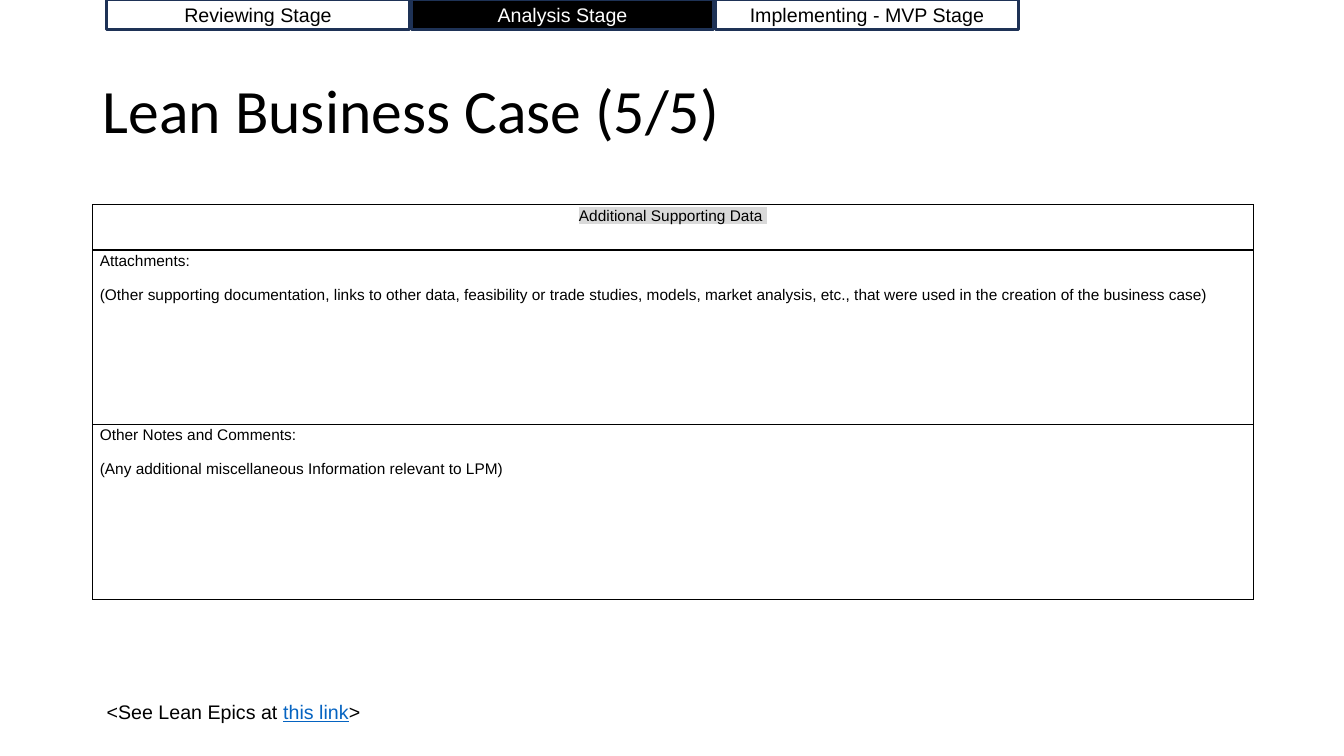
import dataclasses

import lxml.etree
import pptx
import pptx.dml.color
import pptx.enum.shapes
import pptx.enum.text
import pptx.oxml.ns
import pptx.util

Inches = pptx.util.Inches
Pt = pptx.util.Pt
ALIGN = pptx.enum.text.PP_ALIGN
ANCHOR = pptx.enum.text.MSO_ANCHOR
AUTO_SIZE = pptx.enum.text.MSO_AUTO_SIZE


@dataclasses.dataclass(frozen=True)
class Theme:
    title_font: str = "Calibri"
    body_font: str = "Arial"
    title_size: int = 44
    label_size: int = 14
    table_size: int = 11
    black: str = "000000"
    white: str = "FFFFFF"
    navy: str = "1E3256"
    link: str = "0563C1"
    highlight: str = "D9D9D9"


def rgb(value):
    return pptx.dml.color.RGBColor.from_string(value)


def add_element(parent, tag, **attributes):
    return lxml.etree.SubElement(parent, pptx.oxml.ns.qn(tag), attributes)


def set_margins(frame, side, top):
    frame.margin_left = frame.margin_right = Inches(side)
    frame.margin_top = frame.margin_bottom = Inches(top)


class PageBuilder:
    def __init__(self, page, theme):
        self.page = page
        self.theme = theme

    def style(self, span, size, color, name=None):
        span.font.name = name or self.theme.body_font
        span.font.size = Pt(size)
        span.font.bold = False
        span.font.color.rgb = rgb(color)

    def highlight(self, span):
        """Put a highlight right after the run's fill, where the schema wants it."""
        fill = span.font._element.find(pptx.oxml.ns.qn("a:solidFill"))
        mark = lxml.etree.Element(pptx.oxml.ns.qn("a:highlight"))
        add_element(mark, "a:srgbClr", val=self.theme.highlight)
        fill.addnext(mark)

    def title(self, text, left, top, width, height):
        box = self.page.shapes.title
        box.left, box.top = Inches(left), Inches(top)
        box.width, box.height = Inches(width), Inches(height)
        frame = box.text_frame
        frame.text = text
        frame.auto_size = AUTO_SIZE.NONE
        frame.vertical_anchor = ANCHOR.MIDDLE
        set_margins(frame, 0.1, 0.05)
        para = frame.paragraphs[0]
        para.alignment = ALIGN.LEFT
        para.line_spacing = 0.9
        self.style(para.runs[0], self.theme.title_size, self.theme.black, self.theme.title_font)

    def stage(self, text, left, top, width, height, active):
        theme = self.theme
        box = self.page.shapes.add_shape(
            pptx.enum.shapes.MSO_SHAPE.RECTANGLE,
            Inches(left), Inches(top), Inches(width), Inches(height))
        box.shadow.inherit = False
        box.fill.solid()
        box.fill.fore_color.rgb = rgb(theme.black if active else theme.white)
        box.line.color.rgb = rgb(theme.navy)
        box.line.width = Pt(2)
        frame = box.text_frame
        frame.text = text
        frame.vertical_anchor = ANCHOR.MIDDLE
        para = frame.paragraphs[0]
        para.alignment = ALIGN.CENTER
        self.style(para.runs[0], theme.label_size, theme.white if active else theme.black)

    def cell_borders(self, cell):
        properties = cell._tc.get_or_add_tcPr()
        for side in ("a:lnL", "a:lnR", "a:lnT", "a:lnB"):
            line = add_element(properties, side, w=str(Pt(1)))
            fill = add_element(line, "a:solidFill")
            add_element(fill, "a:srgbClr", val=self.theme.black)

    def table(self, header, sections, left, top, width, heights):
        """One column: a highlighted header row, then a row per section."""
        rows = [[header], *sections]
        table = self.page.shapes.add_table(
            len(rows), 1, Inches(left), Inches(top), Inches(width), Inches(sum(heights))).table
        table.first_row = table.horz_banding = False
        for index, (lines, height) in enumerate(zip(rows, heights)):
            table.rows[index].height = Inches(height)
            cell = table.cell(index, 0)
            self.cell_borders(cell)
            cell.fill.background()
            set_margins(cell, 0.07, 0)
            cell.text_frame.text = "\n".join(lines)
            for para in cell.text_frame.paragraphs:
                para.line_spacing = 1.15
                self.style(para.runs[0], self.theme.table_size, self.theme.black)
                if index == 0:
                    para.alignment = ALIGN.CENTER
                    self.highlight(para.runs[0])
                else:
                    para.space_after = Pt(10)

    def link_note(self, before, link, after, left, top, width, height):
        box = self.page.shapes.add_textbox(
            Inches(left), Inches(top), Inches(width), Inches(height))
        frame = box.text_frame
        frame.word_wrap = True
        frame.auto_size = AUTO_SIZE.SHAPE_TO_FIT_TEXT
        for text in (before, link, after):
            span = frame.paragraphs[0].add_run()
            span.text = text
            is_link = text == link
            self.style(span, self.theme.label_size,
                       self.theme.link if is_link else self.theme.black)
            span.font.underline = is_link


def main():
    deck = pptx.Presentation()
    deck.slide_width, deck.slide_height = Inches(13.33), Inches(7.5)
    builder = PageBuilder(deck.slides.add_slide(deck.slide_layouts[5]), Theme())

    builder.title("Lean Business Case (5/5)", 0.92, 0.4, 9.79, 1.45)
    builder.table(
        "Additional Supporting Data ",
        [
            ["Attachments:",
             "(Other supporting documentation, links to other data, feasibility or trade studies, "
             "models, market analysis, etc., that were used in the creation of the business case)"],
            ["Other Notes and Comments:",
             "(Any additional miscellaneous Information relevant to LPM)"],
        ],
        0.92, 2.03, 11.51, [0.45, 1.73, 1.74])

    stages = ["Reviewing Stage", "Analysis Stage", "Implementing - MVP Stage"]
    for index, name in enumerate(stages):
        builder.stage(name, 1.06 + index * 3.02, 0, 3, 0.29, active=name == "Analysis Stage")

    builder.link_note("<See Lean Epics at ", "this link", ">", 0.96, 6.89, 6.67, 0.34)
    deck.save("out.pptx")


if __name__ == "__main__":
    main()
